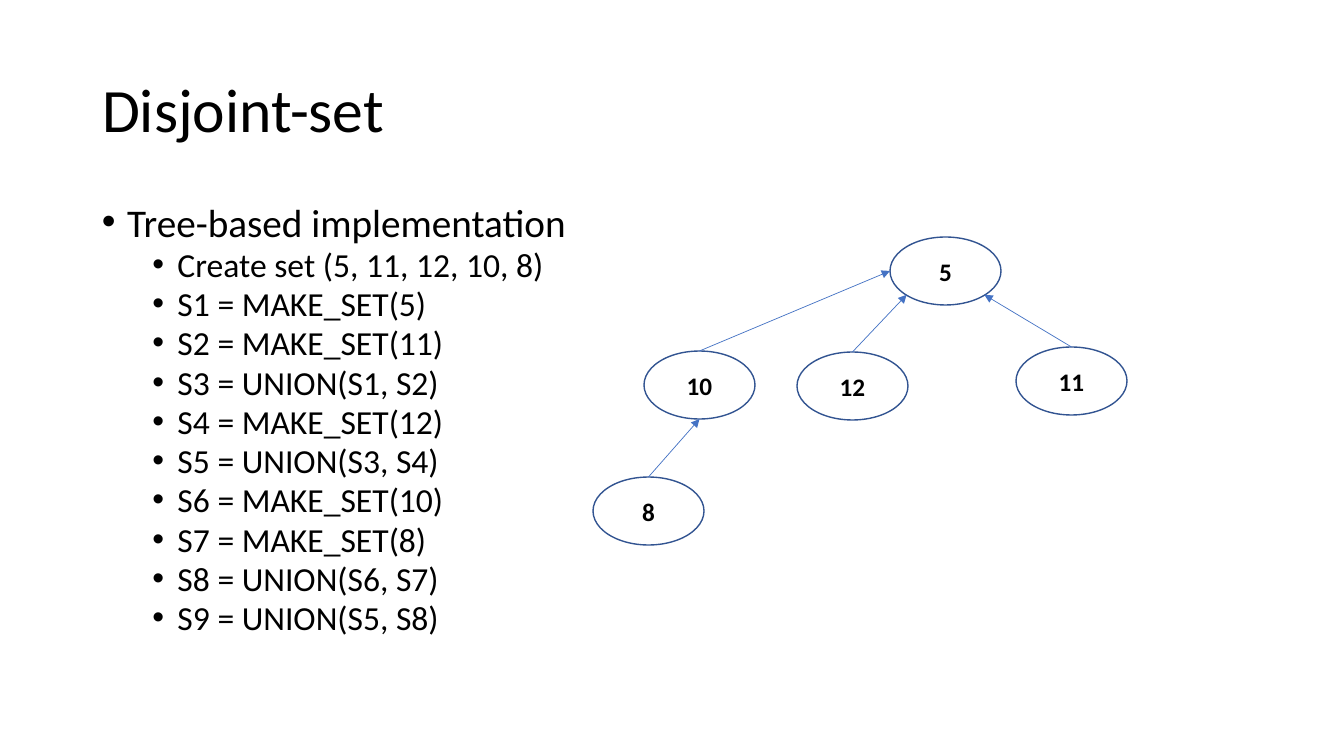
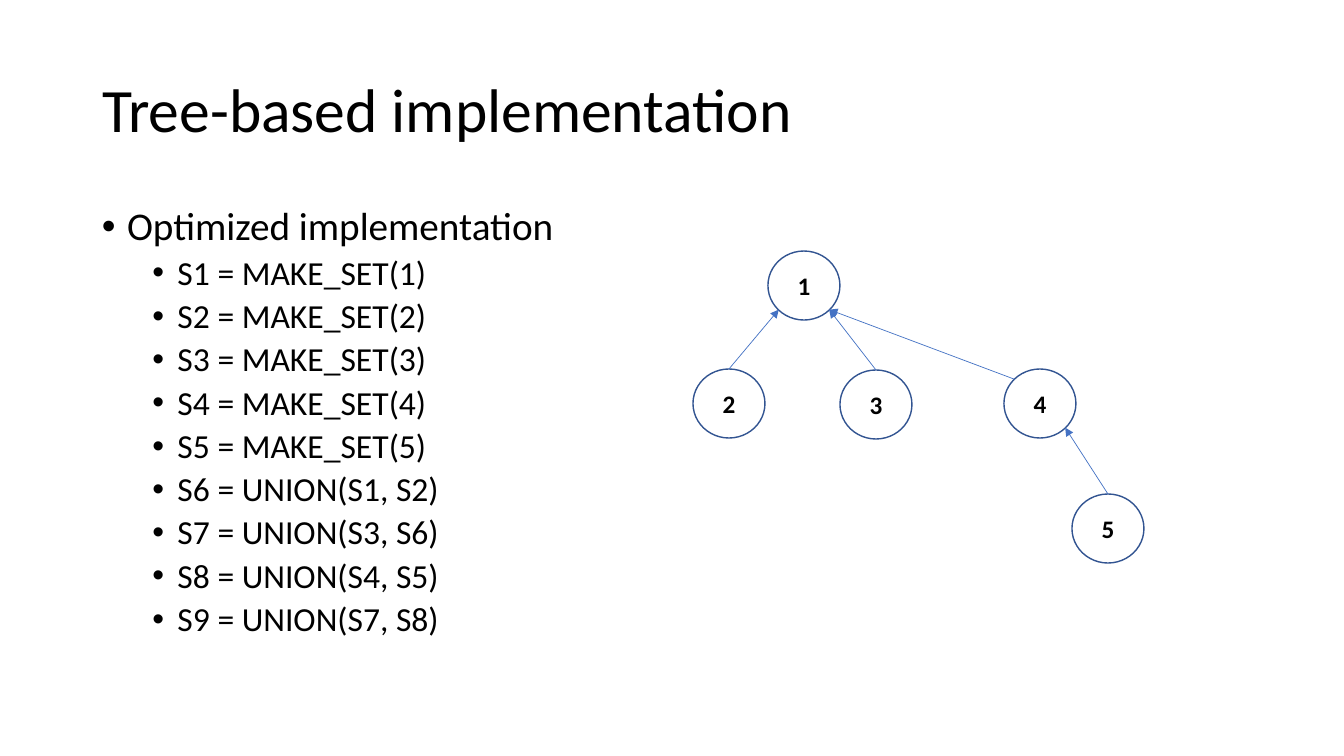
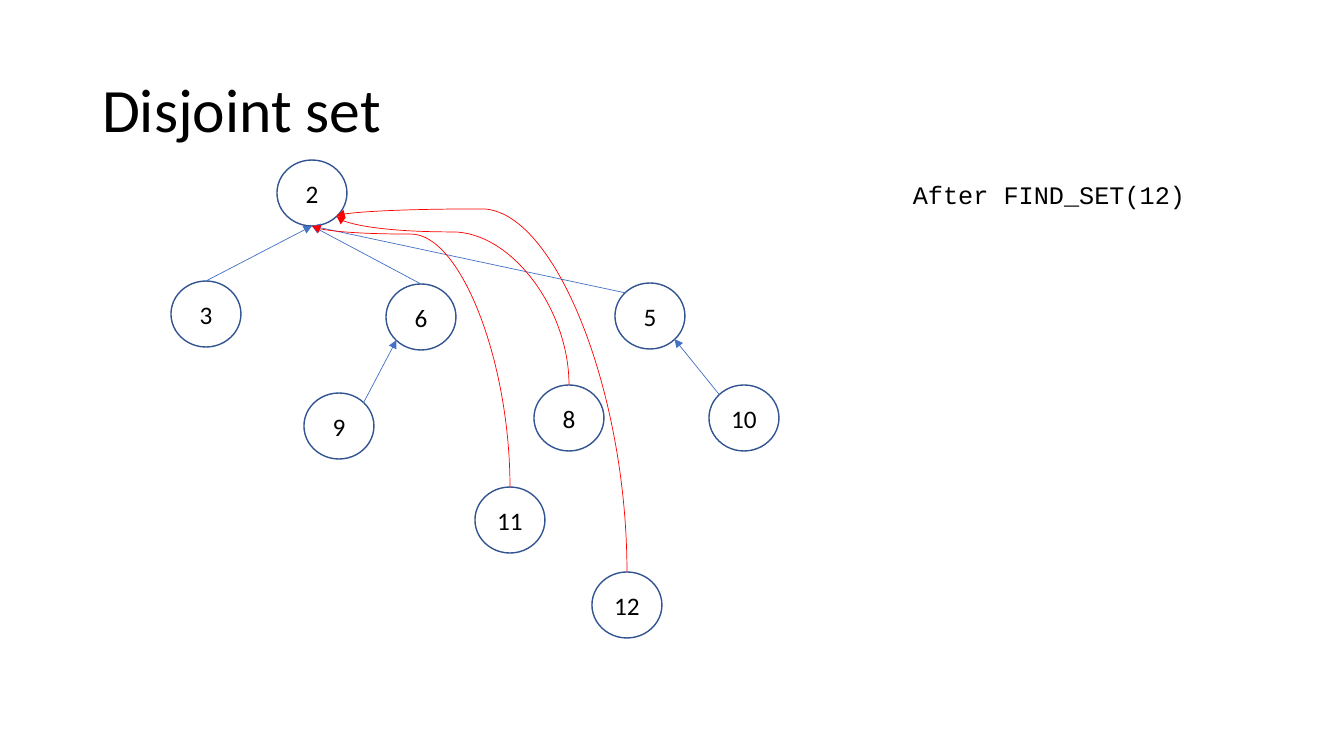
from lxml import etree
from pptx import Presentation
from pptx.dml.color import RGBColor
from pptx.enum.shapes import MSO_CONNECTOR, MSO_SHAPE
from pptx.enum.text import MSO_ANCHOR, MSO_AUTO_SIZE, PP_ALIGN
from pptx.oxml.ns import qn
from pptx.util import Pt

PX = 12192000 / 1344
BLACK = RGBColor(0x00, 0x00, 0x00)
NODE_BLUE = RGBColor(0x32, 0x54, 0x91)
LINK_BLUE = RGBColor(0x44, 0x72, 0xC4)
RED = RGBColor(0xFF, 0x00, 0x00)
LEFT, CENTER = PP_ALIGN.LEFT, PP_ALIGN.CENTER
TOP, MIDDLE = MSO_ANCHOR.TOP, MSO_ANCHOR.MIDDLE
NO_FIT = MSO_AUTO_SIZE.NONE
ELLIPSE = MSO_SHAPE.OVAL
STRAIGHT, CURVE = MSO_CONNECTOR.STRAIGHT, MSO_CONNECTOR.CURVE

NEAR, FAR = 0.15, 0.85
SITES = {
    "top": (0.5, 0), "bottom": (0.5, 1), "left": (0, 0.5),
    "top left": (NEAR, NEAR), "top right": (FAR, NEAR),
    "bottom left": (NEAR, FAR), "bottom right": (FAR, FAR),
}

SLIDES = [
    {
        "title": "Disjoint-set",
        "heading": "Tree-based implementation",
        "steps": [
            "Create set (5, 11, 12, 10, 8)", "S1 = MAKE_SET(5)", "S2 = MAKE_SET(11)",
            "S3 = UNION(S1, S2)", "S4 = MAKE_SET(12)", "S5 = UNION(S3, S4)",
            "S6 = MAKE_SET(10)", "S7 = MAKE_SET(8)", "S8 = UNION(S6, S7)",
            "S9 = UNION(S5, S8)",
        ],
        "spacing": 0.8,
        "node_size": (111, 68),
        "bold": True,
        "nodes": {5: (890, 237), 11: (1016, 347), 12: (797, 352), 10: (644, 351), 8: (593, 477)},
        "links": [
            (11, "top", 5, "bottom right"), (12, "top", 5, "bottom left"),
            (8, "top", 10, "bottom"), (10, "top", 5, "left"),
        ],
    },
    {
        "title": "Tree-based implementation",
        "heading": "Optimized implementation",
        "steps": [
            *[f"S{number} = MAKE_SET({number})" for number in range(1, 6)],
            "S6 = UNION(S1, S2)", "S7 = UNION(S3, S6)",
            "S8 = UNION(S4, S5)", "S9 = UNION(S7, S8)",
        ],
        "spacing": 0.9,
        "node_size": (72, 69),
        "bold": True,
        "nodes": {1: (768, 251), 2: (693, 369), 3: (840, 370), 4: (1004, 369), 5: (1072, 494)},
        "links": [
            (2, "top", 1, "bottom left"), (3, "top", 1, "bottom right"),
            (4, "top left", 1, "bottom right"), (5, "top", 4, "bottom right"),
        ],
    },
    {
        "title": "Disjoint set",
        "caption": "After FIND_SET(12)",
        "node_size": (70, 66),
        "bold": False,
        "nodes": {
            2: (277, 160), 3: (171, 281), 6: (386, 284), 5: (615, 283), 8: (534, 385),
            10: (709, 385), 11: (475, 487), 12: (592, 572), 9: (304, 393),
        },
        "links": [
            (3, "top", 2, "bottom"), (6, "top", 2, "bottom"), (5, "top left", 2, "bottom"),
            (9, "top right", 6, "bottom left"), (10, "top left", 5, "bottom right"),
        ],
        "compressed": [
            (8, "top", 2, "bottom right", 232), (11, "top", 2, "bottom", 234),
            (12, "top", 2, "bottom right", 209),
        ],
    },
]


def write(frame, text, size=18, font="Calibri", bold=False, align=LEFT, anchor=TOP,
          spacing=1.0, before=0, indent=None, added=False):
    frame.word_wrap = True
    frame.auto_size = NO_FIT
    frame.vertical_anchor = anchor
    paragraph = frame.add_paragraph() if added else frame.paragraphs[0]
    paragraph.text = text
    paragraph.alignment = align
    paragraph.line_spacing = spacing
    paragraph.space_before = Pt(before)
    if indent is not None:
        properties = paragraph._p.get_or_add_pPr()
        properties.set("marL", str(Pt(indent)))
        properties.set("indent", str(-Pt(18)))
        etree.SubElement(properties, qn("a:buFont"), typeface="Arial")
        etree.SubElement(properties, qn("a:buChar"), char="•")
    run_font = paragraph.runs[0].font
    run_font.name, run_font.size, run_font.bold = font, Pt(size), bold
    run_font.color.rgb = BLACK


def connect(slide, start, end, color, apex=None):
    x1, y1 = start
    x2, y2 = end
    if apex is not None:
        rise, run = y1 - y2, x1 - x2
        middle_x, middle_y = (x1 + x2) / 2, (y1 + y2) / 2
        x1, x2 = middle_x - rise / 2, middle_x + rise / 2
        y1, y2 = middle_y + run / 2, middle_y - run / 2
    arrow = slide.shapes.add_connector(
        STRAIGHT if apex is None else CURVE, *[round(value * PX) for value in (x1, y1, x2, y2)])
    arrow.line.color.rgb = color
    arrow.line.width = Pt(0.5)
    properties = arrow._element.spPr
    if apex is not None:
        properties.find(qn("a:xfrm")).set("rot", str(270 * 60000))
        bend = round((start[1] - apex) / rise * 100000)
        adjustments = properties.find(qn("a:prstGeom")).find(qn("a:avLst"))
        etree.SubElement(adjustments, qn("a:gd"), name="adj1", fmla=f"val {bend}")
    etree.SubElement(properties.find(qn("a:ln")), qn("a:tailEnd"), type="triangle")
    etree.SubElement(properties, qn("a:effectLst"))


deck = Presentation()
deck.slide_width, deck.slide_height = round(1344 * PX), round(756 * PX)

for content in SLIDES:
    slide = deck.slides.add_slide(deck.slide_layouts[5])
    title = slide.shapes.title
    title.left, title.top, title.width, title.height = [
        round(value * PX) for value in (92, 40, 1160, 146)]
    write(title.text_frame, content["title"], size=44, anchor=MIDDLE, spacing=0.9)

    if "steps" in content:
        outline = slide.shapes.add_textbox(
            *[round(value * PX) for value in (92, 202, 1160, 480)]).text_frame
        write(outline, content["heading"], size=28, spacing=content["spacing"], indent=18)
        for step in content["steps"]:
            write(outline, step, size=24, spacing=content["spacing"], before=5, indent=54,
                  added=True)

    if "caption" in content:
        caption = slide.shapes.add_textbox(
            *[round(value * PX) for value in (903, 174, 314, 40)]).text_frame
        write(caption, content["caption"], font="Courier New")

    width, height = content["node_size"]
    sites = {}
    for label, (left, top) in content["nodes"].items():
        node = slide.shapes.add_shape(
            ELLIPSE, *[round(value * PX) for value in (left, top, width, height)])
        node.shadow.inherit = False
        node.fill.background()
        node.line.color.rgb = NODE_BLUE
        node.line.width = Pt(1)
        write(node.text_frame, str(label), bold=content["bold"], align=CENTER, anchor=MIDDLE)
        for site, (across, down) in SITES.items():
            sites[label, site] = (left + across * width, top + down * height)

    for child, child_site, parent, parent_site in content["links"]:
        connect(slide, sites[child, child_site], sites[parent, parent_site], LINK_BLUE)
    for child, child_site, root, root_site, apex in content.get("compressed", []):
        connect(slide, sites[child, child_site], sites[root, root_site], RED, apex=apex)

deck.save("out.pptx")
